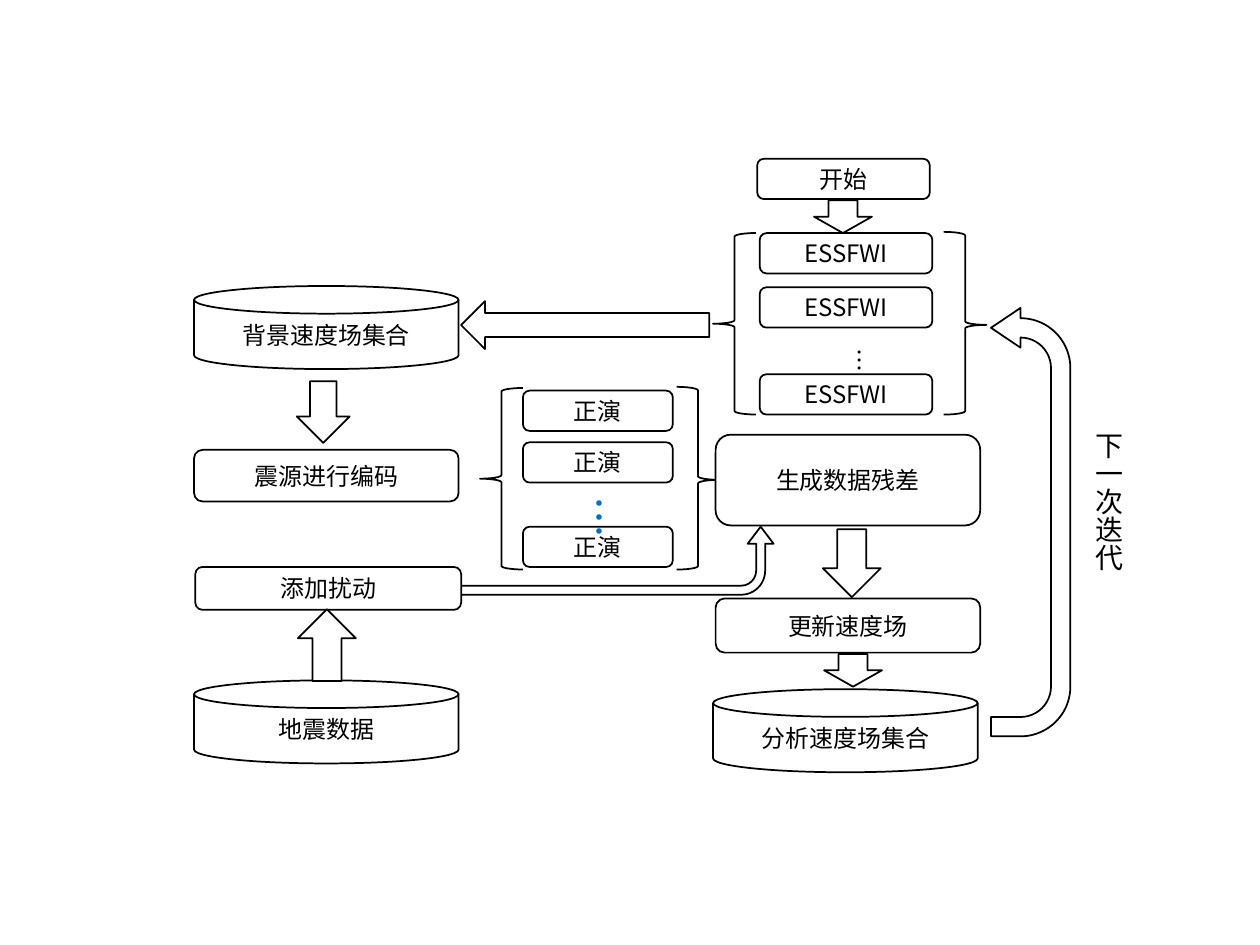
import pptx
import pptx.util
import pptx.dml.color
import pptx.enum.shapes
import pptx.enum.text
import pptx.oxml.ns
import lxml.etree

BLACK = pptx.dml.color.RGBColor(0x00, 0x00, 0x00)
WHITE = pptx.dml.color.RGBColor(0xFF, 0xFF, 0xFF)
BLUE = pptx.dml.color.RGBColor(0x00, 0x70, 0xC0)
FONT = "Noto Sans CJK SC"
BODY_SIZE = 13.7
qn = pptx.oxml.ns.qn
KIND = pptx.enum.shapes.MSO_SHAPE

deck = pptx.Presentation()
deck.slide_width = pptx.util.Inches(10)
deck.slide_height = pptx.util.Inches(7.5)
page = deck.slides.add_slide(deck.slide_layouts[6])

# Grid of 100 columns by 75 rows of square cells
CELL = deck.slide_width / 100
LEFT, RIGHT, WIDE = 15.4, 56.8, 21
FORWARD, FORWARD_WIDTH = 41.5, 11.9
ESSFWI, ESSFWI_WIDTH = 60.3, 13.7
ROW = 3.2


def write(box, text, size=BODY_SIZE, color=BLACK):
    para = box.text_frame.paragraphs[0]
    para.text = text
    para.font.size = pptx.util.Pt(size)
    para.font.name = FONT
    para.font.color.rgb = color
    properties = para.font._element
    lxml.etree.SubElement(properties, qn("a:ea")).set("typeface", FONT)
    return para


def draw(kind, left, top, width, height, text="", turn=0, flip="", adjust=()):
    box = page.shapes.add_shape(kind, *(round(n * CELL) for n in (left, top, width, height)))
    box.shadow.inherit = False
    box.fill.solid()
    box.fill.fore_color.rgb = WHITE
    box.line.color.rgb = BLACK
    box.line.width = pptx.util.Pt(1)
    box.rotation = turn
    for index, value in enumerate(adjust):
        box.adjustments[index] = value
    if flip:
        box.element.spPr.find(qn("a:xfrm")).set(flip, "1")
    if text:
        box.text_frame.vertical_anchor = pptx.enum.text.MSO_ANCHOR.MIDDLE
        write(box, text).alignment = pptx.enum.text.PP_ALIGN.CENTER


# Bent arrow from the perturbation to the residual, and the iteration loop
draw(KIND.BENT_ARROW, 46.3, 32.1, 5.4, 24.8, turn=90, flip="flipH",
     adjust=(0.133, 0.19, 0.25, 0.354))
draw(KIND.U_TURN_ARROW, 64.8, 38.3, 34, 6.3, turn=270, flip="flipV",
     adjust=(0.244, 0.25, 0.371, 0.779, 1))

# Braces around the two stacks
for left, right, top in ((38.1, 53.7, 30.8), (56.6, 74.9, 18.5)):
    draw(KIND.LEFT_BRACE, left, top, 3.4, 14.4)
    draw(KIND.LEFT_BRACE, right, top - 0.1, 3.4, 14.5, turn=180, adjust=(0.083, 0.491))

# Process boxes
for text, left, top, width, height in (
    ("开始", 60.1, 12.6, ESSFWI_WIDTH, ROW),
    ("震源进行编码", LEFT, 35.7, WIDE, 4.1),
    ("添加扰动", LEFT + 0.1, 45, WIDE + 0.1, 3.4),
    ("生成数据残差", RIGHT, 34.5, WIDE, 7.2),
    ("更新速度场", RIGHT, 47.5, WIDE, 4.3),
):
    draw(KIND.FLOWCHART_ALTERNATE_PROCESS, left, top, width, height, text)

# Stacks of repeated steps
for text, left, width, tops in (
    ("正演", FORWARD, FORWARD_WIDTH, (31, 35.1, 41.8)),
    ("ESSFWI", ESSFWI, ESSFWI_WIDTH, (18.5, 22.8, 29.7)),
):
    for top in tops:
        draw(KIND.FLOWCHART_ALTERNATE_PROCESS, left, top, width, ROW, text)

# Data stores
for text, left, top in (
    ("背景速度场集合", LEFT, 22.7),
    ("地震数据", LEFT, 54),
    ("分析速度场集合", RIGHT - 0.2, 54.7),
):
    draw(KIND.FLOWCHART_MAGNETIC_DISK, left, top, WIDE, 6.6, text)

# Straight arrows between steps
for left, top, length, thickness, turn in (
    (23.1, 48.9, 5.7, 4.6, 270),
    (23.2, 30.6, 4.9, 4.2, 90),
    (64.9, 42.4, 5.4, 4.6, 90),
    (66.4, 50.9, 2.6, 4.6, 90),
    (65.6, 14.9, 2.6, 4.6, 90),
):
    draw(KIND.RIGHT_ARROW, left, top, length, thickness, turn=turn)
draw(KIND.LEFT_ARROW, 36.6, 23.9, 19.7, 3.8)

# Vertical labels and ellipses
for text, left, top, width, height, size, color, filled in (
    ("下一次迭代", 85.1, 33.3, 4.7, 12.2, 16, BLACK, True),
    ("…", 44, 38.4, 6.1, 4.4, 24, BLUE, False),
    ("…", 65.6, 26.7, 4.3, 2.9, BODY_SIZE, BLACK, True),
):
    label = page.shapes.add_textbox(*(round(n * CELL) for n in (left, top, width, height)))
    if filled:
        label.fill.solid()
        label.fill.fore_color.rgb = WHITE
    label.text_frame.word_wrap = False
    label.text_frame.auto_size = pptx.enum.text.MSO_AUTO_SIZE.SHAPE_TO_FIT_TEXT
    label.text_frame._txBody.find(qn("a:bodyPr")).set("vert", "eaVert")
    write(label, text, size, color)

deck.save("out.pptx")
